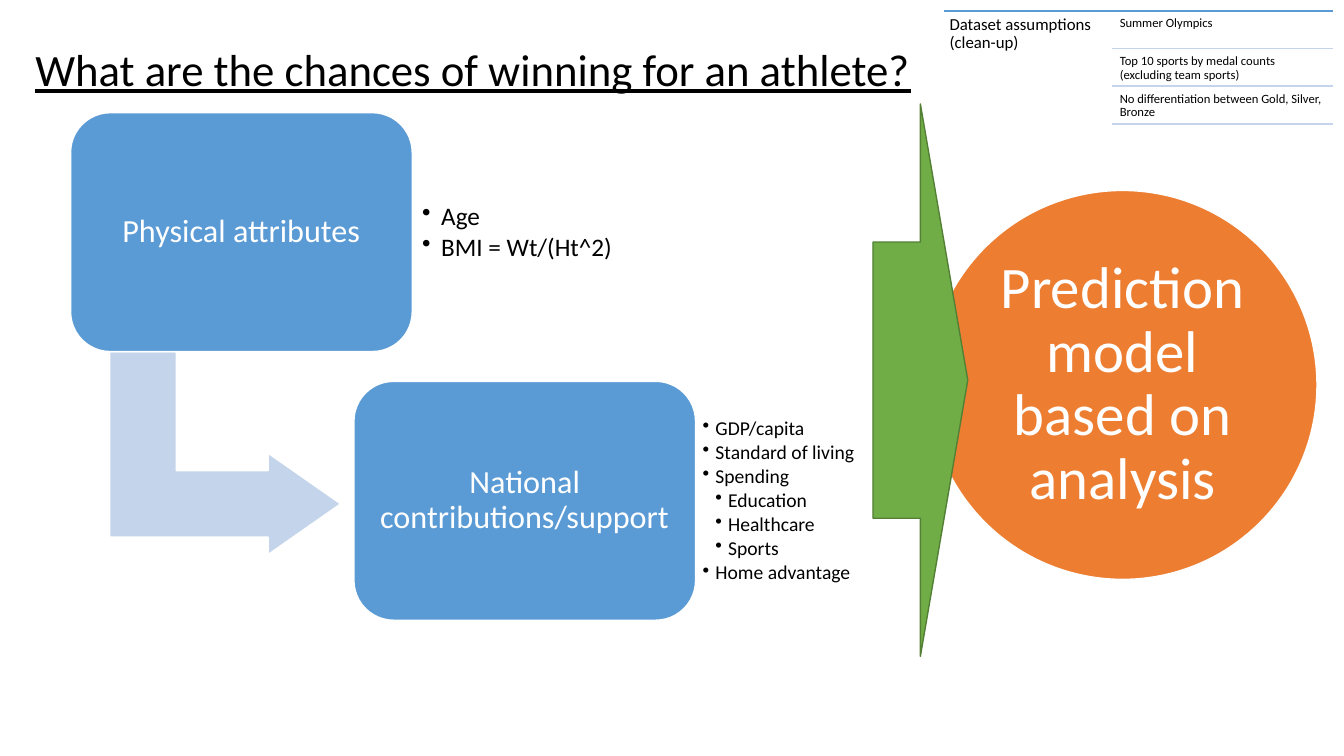
"""Build the slide on an athlete's chances of winning."""
from lxml.etree import SubElement
from pptx import Presentation
from pptx.dml.color import RGBColor as RGB
from pptx.enum.shapes import MSO_CONNECTOR as LINE, MSO_SHAPE as SHAPE
from pptx.enum.text import MSO_ANCHOR as ANCHOR, PP_ALIGN as ALIGN
from pptx.oxml.ns import qn
from pptx.util import Cm, Pt

COLORS = {
    "text": "000000", "white": "FFFFFF", "blue": "5B9BD5", "pale": "C4D5EB",
    "orange": "ED7D31", "green": "70AD47", "dark_green": "538035",
}

deck = Presentation()
deck.slide_width, deck.slide_height = Cm(33.87), Cm(19.05)
slide = deck.slides.add_slide(deck.slide_layouts[6])
shapes = slide.shapes


def write(holder, lines, size, color="text", inset=0.13, anchor=ANCHOR.TOP,
          align=ALIGN.LEFT, spacing=0.9, after=0.35, indent=0, wrap=True):
    """Fill a shape with (level, text) lines, bulleted when indented."""
    frame = holder.text_frame
    frame_format = {"word_wrap": wrap, "vertical_anchor": anchor}
    for side in ("left", "top", "right", "bottom"):
        frame_format[f"margin_{side}"] = Cm(inset)
    for name, value in frame_format.items():
        setattr(frame, name, value)
    for index, (level, text) in enumerate(lines):
        paragraph = frame.paragraphs[0] if index == 0 else frame.add_paragraph()
        paragraph_format = {"alignment": align, "level": level, "line_spacing": spacing,
                            "space_after": Pt(size * after)}
        for name, value in paragraph_format.items():
            setattr(paragraph, name, value)
        run = paragraph.add_run()
        run.text = text
        for name, value in {"name": "Calibri", "size": Pt(size)}.items():
            setattr(run.font, name, value)
        run.font.color.rgb = RGB.from_string(COLORS[color])
        if indent:
            properties = paragraph._p.get_or_add_pPr()
            properties.set("marL", str(Cm(indent * max(level, 1))))
            properties.set("indent", str(Cm(-indent)))
            SubElement(properties, qn("a:buChar"), char="•")
    return frame


def draw(kind, box, fill, outline="white"):
    """Add a filled preset shape at a box given in centimetres."""
    shape = shapes.add_shape(kind, *map(Cm, box))
    shape.shadow.inherit = False
    shape.fill.solid()
    shape.fill.fore_color.rgb = RGB.from_string(COLORS[fill])
    shape.line.color.rgb = RGB.from_string(COLORS[outline])
    shape.line.width = Pt(1)
    return shape


title = shapes.add_textbox(Cm(0.64), Cm(0.81), Cm(22.76), Cm(1.63))
title_frame = write(title, [(0, "What are the chances of winning for an athlete?")], 32,
                    inset=0.25, spacing=1.0, after=0, wrap=False)
title_frame.paragraphs[0].runs[0].font.underline = True

heading = shapes.add_textbox(Cm(23.8), Cm(0.28), Cm(4.22), Cm(2.87))
write(heading, [(0, "Dataset assumptions (clean-up)")], 12)

assumptions = [
    "Summer Olympics",
    "Top 10 sports by medal counts (excluding team sports)",
    "No differentiation between Gold, Silver, Bronze",
]
row_step = 0.95
rules = [(23.8, 0.28, "blue")]
for row, assumption in enumerate(assumptions):
    entry = shapes.add_textbox(Cm(28.12), Cm(0.33 + row * row_step), Cm(5.49), Cm(0.89))
    write(entry, [(0, assumption)], 9, inset=0.1)
    rules.append((28.02, 1.22 + row * row_step, "pale"))

for start, top, color in rules:
    rule = shapes.add_connector(LINE.STRAIGHT, Cm(start), Cm(top), Cm(33.6), Cm(top))
    rule.line.color.rgb = RGB.from_string(COLORS[color])
    rule.line.width = Pt(1)
    SubElement(rule._element.spPr, qn("a:effectLst"))

step_arrow = draw(SHAPE.BENT_UP_ARROW, (3.12, 8.51, 5.11, 5.82), "pale")
step_arrow.rotation = 90
for index, value in enumerate((0.328, 0.25, 0.358)):
    step_arrow.adjustments[index] = value

factors = [
    ("Physical attributes", 18, 0.25, 0.48, [(0, "Age"), (0, "BMI = Wt/(Ht^2)")]),
    ("National contributions/support", 14, 0.18, 0.32, [
        (0, "GDP/capita"), (0, "Standard of living"), (0, "Spending"),
        (1, "Education"), (1, "Healthcare"), (1, "Sports"), (0, "Home advantage"),
    ]),
]
for step, (factor, size, inset, indent, details) in enumerate(factors):
    left, top = 1.78 + step * 7.14, 2.84 + step * 6.77
    box = draw(SHAPE.ROUNDED_RECTANGLE, (left, top, 8.61, 6.02), "blue")
    write(box, [(0, factor)], 23, "white", 0.25, ANCHOR.MIDDLE, ALIGN.CENTER)
    detail_box = shapes.add_textbox(Cm(left + 8.61), Cm(top + 0.58), Cm(6.27), Cm(4.88))
    levels = [(level + 1, detail) for level, detail in details]
    write(detail_box, levels, size, inset=inset, anchor=ANCHOR.MIDDLE, after=0.15,
          indent=indent)

prediction = draw(SHAPE.OVAL, (23.39, 4.8, 9.8, 9.8), "orange")
write(prediction, [(0, "Prediction model based on analysis")], 42, "white", 0.15,
      ANCHOR.MIDDLE, ALIGN.CENTER)
draw(SHAPE.RIGHT_ARROW, (22, 2.62, 2.39, 13.92), "green", "dark_green")

deck.save("out.pptx")
